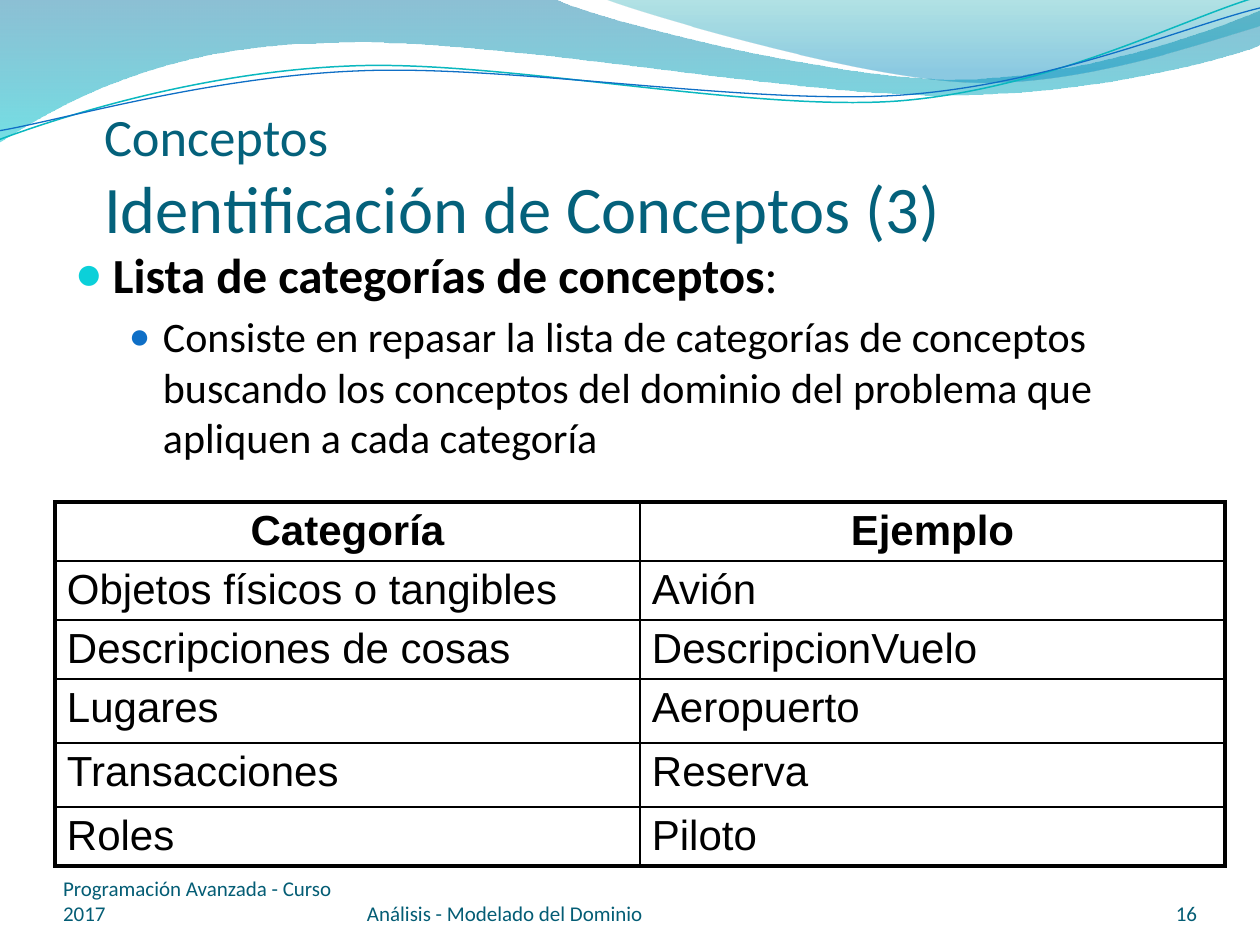
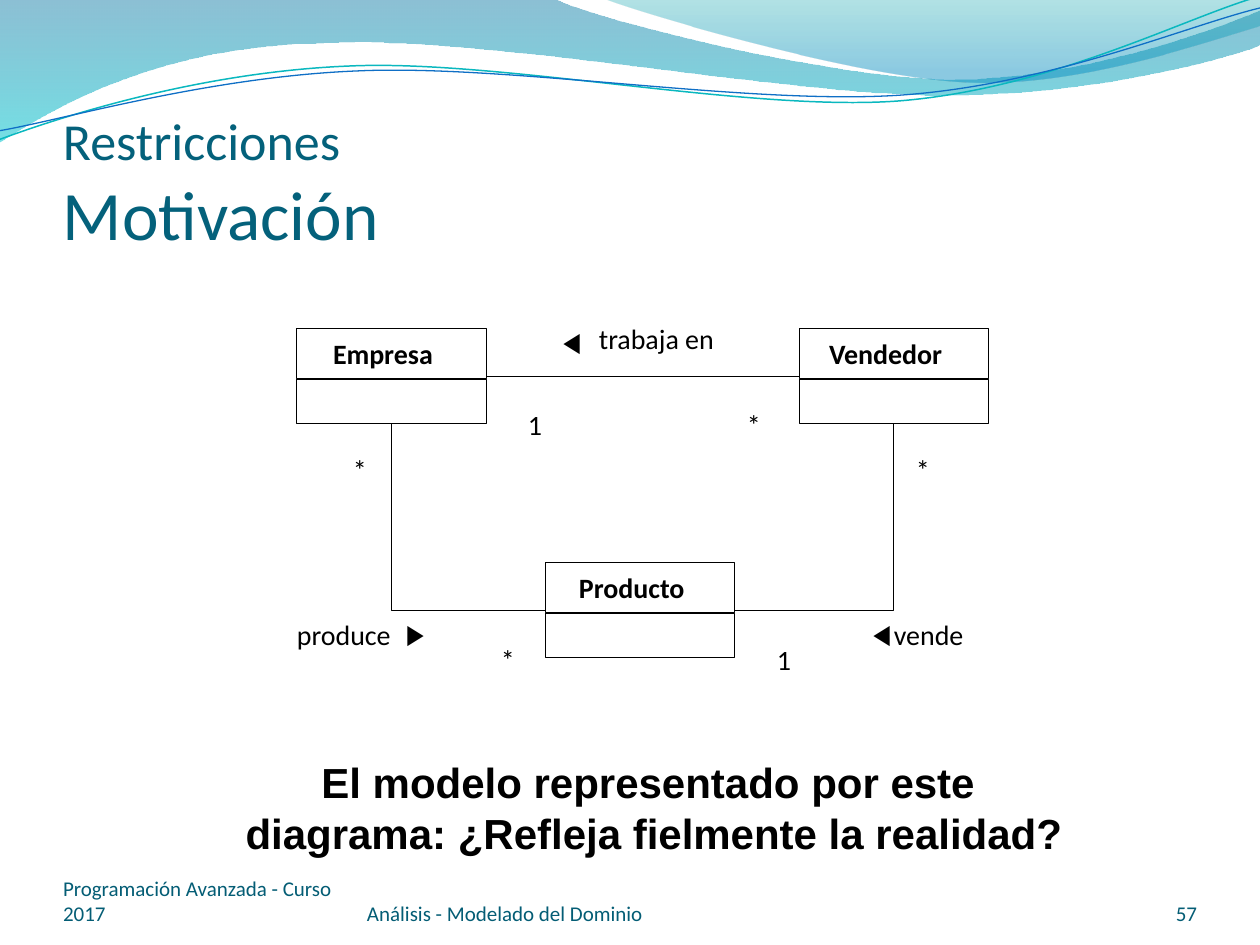
from lxml.etree import SubElement
from pptx import Presentation
from pptx.dml.color import RGBColor
from pptx.enum.shapes import MSO_CONNECTOR as CONNECTOR, MSO_SHAPE as SHAPE
from pptx.enum.text import MSO_ANCHOR as ANCHOR, PP_ALIGN as ALIGN
from pptx.oxml.ns import qn
from pptx.util import Emu, Pt

EMU_PER_PX = 914400 / 126
SLIDE_SIZE = (1260, 945)
BODY_FONT, TABLE_FONT = "Calibri", "Arial"
BLACK, WHITE = "000000", "FFFFFF"
TITLE_COLOR, FOOTER_COLOR = "04617B", "045D75"
BULLET_COLORS = ("0BD0D9", "0F6FC6")
HAIRLINE = 0.5

# Each wave is a start point followed by lines (1 point) and cubic curves (3 points).
WIDE_BAND = [(0, 0), (554, -1), (600, 21, 837, 79, 955, 79), (1075, 79, 1207, 33, 1260, 11),
             (1261, 45), (1239, 55, 1096, 96, 940, 95), (783, 95, 481, 35, 324, 43),
             (163, 45, 58, 105, -1, 142), (0, 0)]
RIGHT_BAND = [(604, -1), (641, 14, 859, 78, 969, 82), (1079, 87, 1211, 40, 1260, 26),
              (1260, 0), (604, -1)]
TEAL_WAVE = [(-2, 140), (60, 117, 199, 72, 349, 66), (498, 59, 747, 112, 898, 101),
             (1050, 89, 1182, 19, 1257, -3)]
BLUE_WAVE = [(-2, 131), (59, 121, 207, 77, 357, 71), (508, 64, 752, 106, 903, 95),
             (1053, 84, 1186, 26, 1260, 8)]

CATEGORIES = [("Categoría", "Ejemplo"), ("Objetos físicos o tangibles", "Avión"),
              ("Descripciones de cosas", "DescripcionVuelo"), ("Lugares", "Aeropuerto"),
              ("Transacciones", "Reserva"), ("Roles", "Piloto")]
ROW_HEIGHTS = (59, 59, 59, 64, 64, 59)
COLUMN_WIDTH = 585

CLASS_WIDTH, NAME_HEIGHT, ATTRIBUTES_HEIGHT = 190, 50, 45


def px(length):
    return Emu(round(length * EMU_PER_PX))


def rgb(color):
    return RGBColor.from_string(color)


def write(paragraph, text, size=16, color=BLACK, font=BODY_FONT, bold=False):
    run = paragraph.add_run()
    run.text = text
    run.font.size, run.font.name, run.font.bold = Pt(size), font, bold
    run.font.color.rgb = rgb(color)


def add_frame(slide, box, anchor=ANCHOR.TOP, insets=(0, 0)):
    """Add a wrapping text box; insets are horizontal and vertical."""
    frame = slide.shapes.add_textbox(*map(px, box)).text_frame
    frame.word_wrap = True
    frame.vertical_anchor = anchor
    frame.margin_left = frame.margin_right = px(insets[0])
    frame.margin_top = frame.margin_bottom = px(insets[1])
    return frame


def add_label(slide, text, box, align=ALIGN.LEFT, anchor=ANCHOR.TOP, **style):
    """Add a text box with one paragraph for each line of the text."""
    frame = add_frame(slide, box, anchor)
    for index, line in enumerate(text.split("\n")):
        paragraph = frame.add_paragraph() if index else frame.paragraphs[0]
        paragraph.alignment = align
        write(paragraph, line, **style)


def add_outline(slide, steps, close=False):
    """Draw straight segments through all points, then merge those of each curve."""
    points = [(px(step[i]), px(step[i + 1])) for step in steps for i in range(0, len(step), 2)]
    builder = slide.shapes.build_freeform(*points[0])
    builder.add_line_segments(points[1:], close=close)
    outline = builder.convert_to_shape()
    outline.shadow.inherit = False
    segments = iter(list(outline.element.iter(qn("a:lnTo"))))
    for step in steps[1:]:
        segment = next(segments)
        if len(step) == 6:
            segment.tag = qn("a:cubicBezTo")
            for extra in (next(segments), next(segments)):
                segment.append(extra[0])
                extra.getparent().remove(extra)
    return outline


def add_band(slide, steps, stops):
    """Add a vertical gradient band; stops are (position, colour, opacity in percent)."""
    band = add_outline(slide, steps, close=True)
    band.line.fill.background()
    band.fill.gradient()
    band.fill.gradient_angle = 270
    for stop, (position, color, _) in zip(band.fill.gradient_stops, stops):
        stop.position = position
        stop.color.rgb = rgb(color)
    for color_element, (_, _, opacity) in zip(band.element.iter(qn("a:srgbClr")), stops):
        SubElement(color_element, qn("a:alpha"), val=str(opacity * 1000))


def add_open_line(slide, steps, color=BLACK, width=HAIRLINE):
    open_line = add_outline(slide, steps)
    open_line.fill.background()
    open_line.line.color.rgb = rgb(color)
    open_line.line.width = Pt(width)


def add_common_parts(slide, number):
    """Add the waves and the footers."""
    add_band(slide, WIDE_BAND, [(0, "0074A1", 45), (1, "00C6CF", 55)])
    add_band(slide, RIGHT_BAND, [(0, "00A1A9", 30), (0.8, "008BBF", 45)])
    add_open_line(slide, TEAL_WAVE, "0AB8BF", 0.85)
    add_open_line(slide, BLUE_WAVE, "0F6FC6", 0.75)
    for text, left, width, align in [
        ("Programación Avanzada - Curso 2017", 63, 294, ALIGN.LEFT),
        ("Análisis - Modelado del Dominio", 367, 462, ALIGN.LEFT),
        (str(number), 1092, 105, ALIGN.RIGHT),
    ]:
        add_label(slide, text, (left, 876, width, 50), align, ANCHOR.BOTTOM,
                  size=12, color=FOOTER_COLOR)


def add_title(slide, topic, heading, box, sizes):
    paragraph = add_frame(slide, box, ANCHOR.BOTTOM).paragraphs[0]
    write(paragraph, topic, size=sizes[0], color=TITLE_COLOR)
    paragraph.add_line_break()
    write(paragraph, heading, size=sizes[1], color=TITLE_COLOR)


def set_bullet(paragraph, color, percent, margin, hanging):
    properties = paragraph._p.get_or_add_pPr()
    properties.set("marL", str(px(margin)))
    properties.set("indent", str(-px(hanging)))
    SubElement(SubElement(properties, qn("a:buClr")), qn("a:srgbClr"), val=color)
    SubElement(properties, qn("a:buSzPct"), val=str(percent * 1000))
    SubElement(properties, qn("a:buFont"), typeface="Arial")
    SubElement(properties, qn("a:buChar"), char="●")


def add_definition(slide):
    frame = add_frame(slide, (63, 238, 1134, 652), insets=(12, 6))
    term = frame.paragraphs[0]
    set_bullet(term, BULLET_COLORS[0], 95, 38, 38)
    write(term, "Lista de categorías de conceptos", size=28, bold=True)
    write(term, ":", size=28)
    meaning = frame.add_paragraph()
    set_bullet(meaning, BULLET_COLORS[1], 85, 88, 34)
    meaning.level = 1
    meaning.space_before = Pt(4.5)
    write(meaning, "Consiste en repasar la lista de categorías de conceptos buscando los "
                   "conceptos del dominio del problema que apliquen a cada categoría", size=24)


def set_borders(cell, widths):
    """Draw black borders; widths are left, right, top and bottom in points."""
    properties = cell._tc.get_or_add_tcPr()
    for side, width in zip("LRTB", widths):
        border = SubElement(properties, qn(f"a:ln{side}"), w=str(Pt(width)))
        SubElement(SubElement(border, qn("a:solidFill")), qn("a:srgbClr"), val=BLACK)


def add_category_table(slide):
    rows, columns = len(CATEGORIES), len(CATEGORIES[0])
    table = slide.shapes.add_table(rows, columns, px(55), px(502), px(columns * COLUMN_WIDTH),
                                   px(sum(ROW_HEIGHTS))).table
    table.first_row = table.horz_banding = False
    for column in table.columns:
        column.width = px(COLUMN_WIDTH)
    for r, texts in enumerate(CATEGORIES):
        table.rows[r].height = px(ROW_HEIGHTS[r])
        for c, text in enumerate(texts):
            cell = table.cell(r, c)
            on_edge = (c == 0, c == columns - 1, r == 0, r == rows - 1)
            set_borders(cell, [2.25 if edge else 1 for edge in on_edge])
            cell.fill.background()
            cell.margin_left = cell.margin_right = px(12)
            cell.margin_top, cell.margin_bottom = px(6), px(2)
            paragraph = cell.text_frame.paragraphs[0]
            paragraph.alignment = ALIGN.LEFT if r else ALIGN.CENTER
            write(paragraph, text, size=24, font=TABLE_FONT, bold=r == 0)


def add_class(slide, name, left, top, name_left, name_width):
    """Add a UML class with a name and an empty attribute compartment."""
    for offset, height in ((NAME_HEIGHT, ATTRIBUTES_HEIGHT), (0, NAME_HEIGHT)):
        compartment = slide.shapes.add_shape(
            SHAPE.RECTANGLE, *map(px, (left, top + offset, CLASS_WIDTH, height)))
        compartment.shadow.inherit = False
        compartment.fill.solid()
        compartment.fill.fore_color.rgb = rgb(WHITE)
        compartment.line.color.rgb = rgb(BLACK)
        compartment.line.width = Pt(HAIRLINE)
    add_label(slide, name, (name_left, top + 8, name_width, 39), bold=True)


def add_association(slide, start, end):
    association = slide.shapes.add_connector(CONNECTOR.STRAIGHT, *map(px, start + end))
    association.line.color.rgb = rgb(BLACK)
    association.line.width = Pt(HAIRLINE)
    SubElement(association.element.spPr, qn("a:effectLst"))


def add_class_diagram(slide):
    add_class(slide, "Empresa", 297, 329, 333, 132)
    add_class(slide, "Vendedor", 799, 329, 829, 144)
    add_class(slide, "Producto", 545, 563, 579, 137)
    add_association(slide, (487, 376), (799, 376))
    add_open_line(slide, [(392, 424), (392, 611), (545, 611)])
    add_open_line(slide, [(735, 611), (893, 611), (893, 424)])
    for multiplicity, left, top in [("1", 528, 408), ("1", 777, 643)]:
        add_label(slide, multiplicity, (left, top, 28, 38))
    for multiplicity, left, top in [("*", 747, 408), ("*", 353, 453), ("*", 916, 453),
                                    ("*", 501, 643)]:
        add_label(slide, multiplicity, (left, top, 12, 34))
    for relation, left, top, width in [("trabaja en", 599, 322, 139), ("produce", 297, 618, 122),
                                       ("vende", 894, 618, 91)]:
        add_label(slide, relation, (left, top, width, 38))
    for direction, left, top in [("◀", 563, 325), ("▶", 406, 617), ("◀", 873, 617)]:
        add_label(slide, direction, (left, top, 37, 38), font=TABLE_FONT)


def main():
    deck = Presentation()
    deck.slide_width, deck.slide_height = map(px, SLIDE_SIZE)
    blank = deck.slide_layouts[6]

    concepts = deck.slides.add_slide(blank)
    add_common_parts(concepts, 16)
    add_title(concepts, "Conceptos", "Identificación de Conceptos (3)",
              (104, 37, 1050, 210), (30, 38))
    add_definition(concepts)
    add_category_table(concepts)

    constraints = deck.slides.add_slide(blank)
    add_common_parts(constraints, 57)
    add_title(constraints, "Restricciones", "Motivación", (63, 97, 1134, 157), (29.7, 39.6))
    add_class_diagram(constraints)
    add_label(constraints,
              "El modelo representado por este \ndiagrama: ¿Refleja fielmente la realidad?",
              (233, 757, 842, 101), ALIGN.CENTER, size=24, font=TABLE_FONT, bold=True)

    deck.save("out.pptx")


if __name__ == "__main__":
    main()
